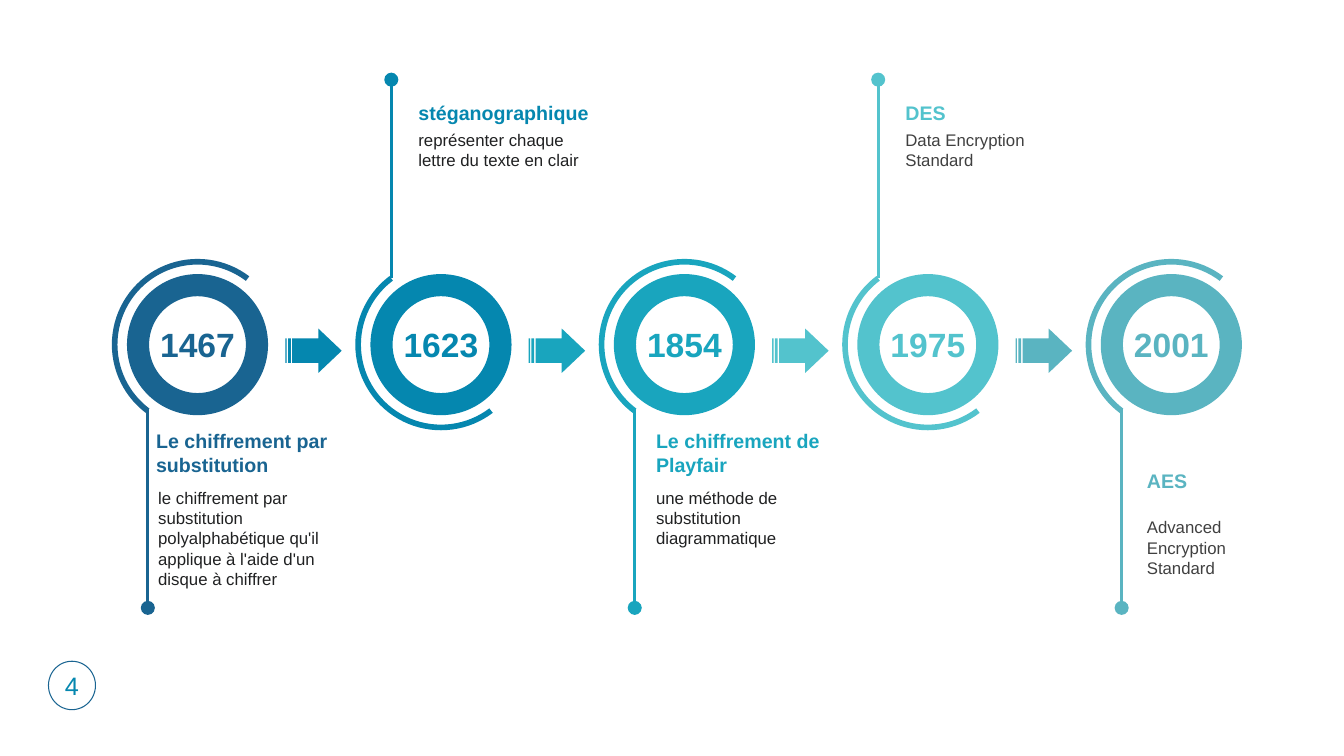
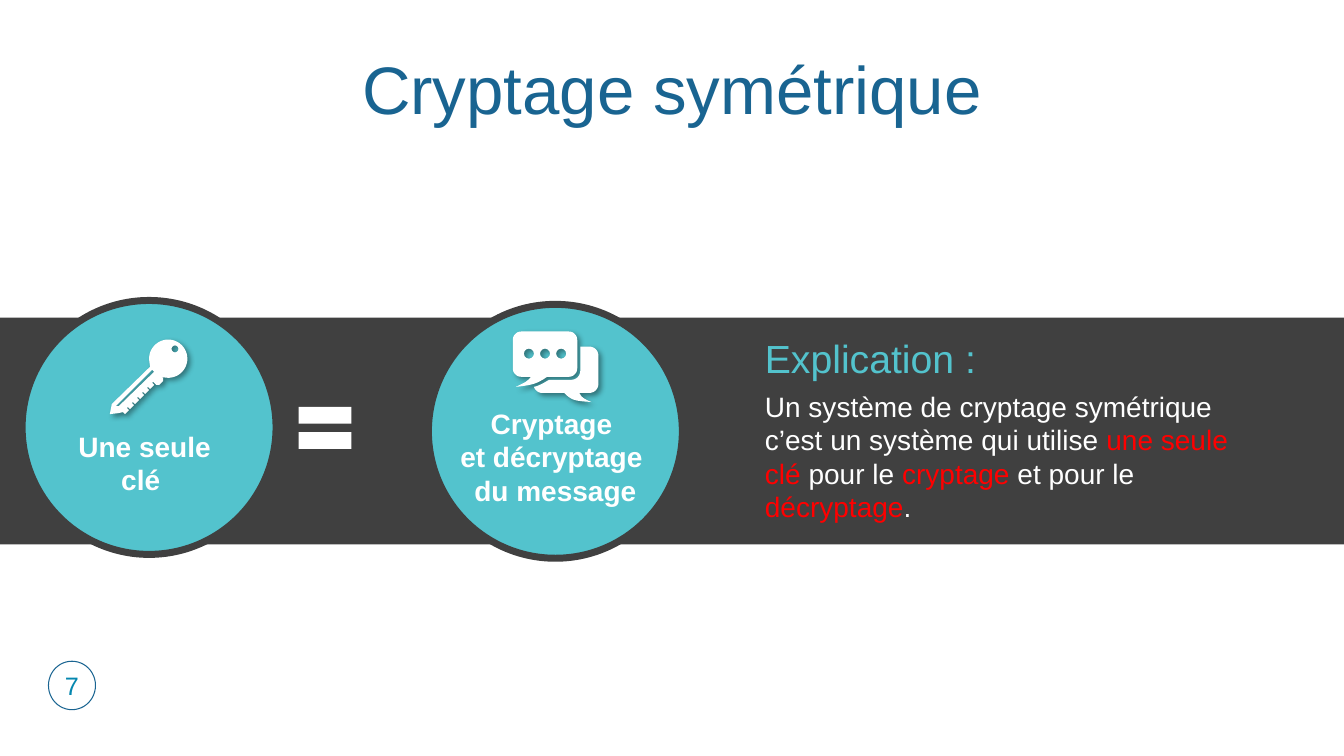
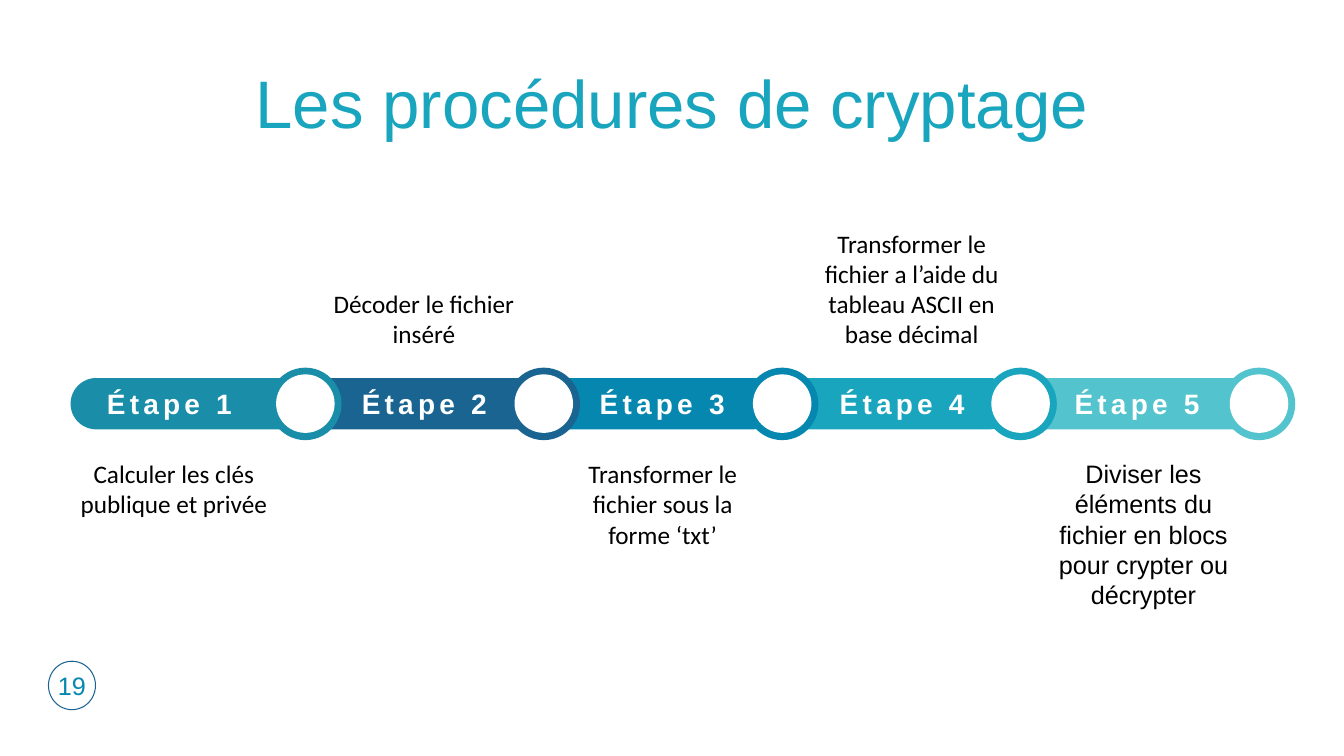
"""Build three slides on the history and steps of encryption."""
from dataclasses import dataclass
from math import cos, radians, sin

from lxml.etree import SubElement
from pptx import Presentation
from pptx.dml.color import RGBColor
from pptx.enum.shapes import MSO_CONNECTOR, MSO_SHAPE
from pptx.enum.text import MSO_ANCHOR, PP_ALIGN
from pptx.oxml.ns import qn
from pptx.util import Pt


@dataclass(frozen=True)
class Theme:
    navy: str = "196491"
    blue: str = "0587AF"
    teal: str = "19A5BE"
    aqua: str = "53C3CD"
    steel: str = "5AB4C1"
    sea: str = "1A8EA9"
    dark: str = "404040"
    ink: str = "202122"
    black: str = "000000"
    white: str = "FFFFFF"
    red: str = "FF0000"
    sans: str = "Arial"
    alt: str = "Calibri"
    title: int = 48
    head: int = 28
    year: int = 24
    large: int = 20
    body: int = 18
    name: int = 14
    small: int = 12


T = Theme()
WIDE, HIGH = 960, 540

EVENTS = [
    ("1467", T.navy, "Le chiffrement par substitution",
     ["le chiffrement par substitution polyalphabétique qu'il applique à l'aide d'un disque à chiffrer"],
     T.ink, (13.7, 303.1), (15.2, 344.9)),
    ("1623", T.blue, "stéganographique", ["représenter chaque lettre du texte en clair"],
     T.ink, (27.2, 68.4), (27.2, 89.3)),
    ("1854", T.teal, "Le chiffrement de Playfair",
     ["une méthode de substitution diagrammatique"],
     T.ink, (23, 303.1), (23, 344.9)),
    ("1975", T.aqua, "DES", ["Data Encryption Standard"],
     T.dark, (27.2, 68.4), (27.2, 89.3)),
    ("2001", T.steel, "AES", ["Advanced", "Encryption", "Standard"],
     T.dark, (25.8, 331.2), (25.8, 365.8)),
]

DISCS = [
    (15.8, 214.6, (48.2, 303.1, 110.2), ["Une seule clé "]),
    (306, 217.4, (306, 286.6, 181.4), ["Cryptage ", "et décryptage ", "du message"]),
]

NOTE = [
    ("Un système de cryptage symétrique c’est un système qui utilise ", T.white),
    ("une seule clé ", T.red),
    ("pour le", T.white),
    (" cryptage", T.red),
    (" et pour le ", T.white),
    ("décryptage", T.red),
    (".", T.white),
]

STEPS = [
    ("Étape 1", T.sea, 121, 50.4, T.alt, "Calculer les clés publique et privée"),
    ("Étape 2", T.navy, 303.1, 229, T.alt, "Décoder le fichier inséré"),
    ("Étape 3", T.blue, 473, 399.6, T.alt, "Transformer le fichier sous la forme ‘txt’"),
    ("Étape 4", T.teal, 644.4, 577.4, T.alt,
     "Transformer le fichier a l’aide du tableau ASCII en base décimal"),
    ("Étape 5", T.aqua, 812.2, 743, T.sans,
     "Diviser les éléments du fichier en blocs pour crypter ou décrypter"),
]


def paint(color):
    return RGBColor.from_string(color)


def write(para, text, size, color, bold=False, font=T.sans, space=0):
    run = para.add_run()
    run.text = text
    run.font.name = font
    run.font.size = Pt(size)
    run.font.bold = bold
    run.font.color.rgb = paint(color)
    if space:
        run._r.get_or_add_rPr().set("spc", str(space * 100))


def label(slide, box, lines, size, color, align=PP_ALIGN.LEFT,
          anchor=MSO_ANCHOR.TOP, **style):
    frame = slide.shapes.add_textbox(*map(Pt, box)).text_frame
    frame.word_wrap = True
    frame.vertical_anchor = anchor
    for i, line in enumerate(lines):
        para = frame.add_paragraph() if i else frame.paragraphs[0]
        para.alignment = align
        runs = [(line, color)] if isinstance(line, str) else line
        for text, tint in runs:
            write(para, text, size, tint, **style)


def finish(shape, fill=None, edge=None, width=1):
    shape.shadow.inherit = False
    if fill:
        shape.fill.solid()
        shape.fill.fore_color.rgb = paint(fill)
    else:
        shape.fill.background()
    if edge:
        shape.line.color.rgb = paint(edge)
        shape.line.width = Pt(width)
    else:
        shape.line.fill.background()
    return shape


def place(slide, kind, box, fill=None, edge=None, width=1, adjust=()):
    shape = slide.shapes.add_shape(kind, *map(Pt, box))
    for i, value in enumerate(adjust):
        shape.adjustments[i] = value
    return finish(shape, fill, edge, width)


def stem(slide, x, start, end, color):
    line = slide.shapes.add_connector(
        MSO_CONNECTOR.STRAIGHT, Pt(x), Pt(start), Pt(x), Pt(end))
    line.line.color.rgb = paint(color)
    line.line.width = Pt(2)
    props = line._element.spPr
    SubElement(props.find(qn("a:ln")), qn("a:tailEnd"), type="oval", w="lg", len="lg")
    SubElement(props, qn("a:effectLst"))


def arc(x, y, r, start=0, end=360, parts=12):
    turns = [radians(start + (end - start) * i / parts) for i in range(parts + 1)]
    return [(x + r * cos(a), y + r * sin(a)) for a in turns]


def bend(a, b, c, d, parts=8):
    dots = []
    for i in range(parts + 1):
        t = i / parts
        u = 1 - t
        dots.append(tuple(u**3 * p + 3 * u * u * t * q + 3 * u * t * t * r + t**3 * s
                          for p, q, r, s in zip(a, b, c, d)))
    return dots


def key():
    teeth = [(151 - 5 * i + x, 380 + 5 * i + y) for i in range(6)
             for x, y in ((0, 0), (2, 2), (-2, 6), (-4, 4))]
    outer = (arc(167, 356, 19, 172, 472, 36)
             + [(162, 375), (162, 378), (158, 382), (155, 382), (152, 379)]
             + teeth + [(118, 410), (109, 411), (111, 401), (149, 364)])
    groove = [(151, 367), (116, 402), (115, 403), (118, 403), (153, 369)]
    return [outer, groove, arc(173.7, 346.3, 3.5)]


def chat():
    front = (arc(517.5, 337.5, 8.5, 180, 270) + arc(564.5, 337.5, 8.5, 270, 360)
             + arc(564.5, 365.5, 8.5, 0, 90)
             + bend((543, 374), (533, 381), (529, 382), (512, 384))
             + bend((512, 384), (522, 379), (523, 379), (527, 374))
             + arc(517.5, 365.5, 8.5, 90, 180))
    back = ([(576, 344)] + arc(585, 353, 9, 270, 360) + arc(585, 381, 9, 0, 90)
            + bend((575, 390), (577, 393), (577, 395), (587, 399))
            + bend((587, 399), (570, 398), (567, 397), (560, 390))
            + bend((538, 390), (534, 390), (531, 387), (530, 384))
            + bend((530, 384), (535, 383), (540, 380), (545, 377))
            + bend((567, 377), (572, 377), (576, 373), (576, 368)))
    return [front, back] + [arc(x, 351, 5) for x in (525, 541, 557)]


def icon(slide, loops):
    pen = None
    for loop in loops:
        dots = [(x * 10, y * 10) for x, y in loop]
        if pen is None:
            pen = slide.shapes.build_freeform(*dots[0], scale=Pt(0.072))
        else:
            pen.move_to(*dots[0])
        pen.add_line_segments(dots[1:], close=True)
    shape = finish(pen.convert_to_shape(), T.white)
    glow = shape._element.spPr.find(qn("a:effectLst"))
    cast = SubElement(glow, qn("a:outerShdw"), blurRad=str(Pt(4)), dist=str(Pt(3)),
                      dir="2700000", algn="tl", rotWithShape="0")
    tint = SubElement(cast, qn("a:srgbClr"), val=T.black)
    SubElement(tint, qn("a:alpha"), val="40000")


def start(deck, page, title=None, color=None, top=0):
    slide = deck.slides.add_slide(deck.slide_layouts[5 if title else 6])
    if title:
        head = slide.shapes.title
        head.left, head.top, head.width, head.height = map(Pt, (0, top, WIDE, 60.5))
        head.text_frame.vertical_anchor = MSO_ANCHOR.MIDDLE
        para = head.text_frame.paragraphs[0]
        para.alignment = PP_ALIGN.CENTER
        para.line_spacing = 0.9
        para.space_before = Pt(10)
        write(para, title, T.title, color)
    badge = place(slide, MSO_SHAPE.OVAL, (34.6, 472.3, 33.6, 34.6), None, T.navy, 0.75)
    frame = badge.text_frame
    frame.word_wrap = False
    frame.margin_left = frame.margin_right = frame.margin_top = frame.margin_bottom = 0
    frame.vertical_anchor = MSO_ANCHOR.MIDDLE
    frame.paragraphs[0].alignment = PP_ALIGN.CENTER
    write(frame.paragraphs[0], page, T.body, T.blue)
    return slide


def history(deck):
    slide = start(deck, "4")
    for i, (year, color, name, lines, ink, head, text) in enumerate(EVENTS):
        x = 90.7 + 173.9 * i
        above = i % 2
        sweep = (31.68, 139.87) if above else (76.13, 184.32)
        place(slide, MSO_SHAPE.DONUT, (x, 195.8, 100.8, 100.8), color, adjust=[0.157])
        place(slide, MSO_SHAPE.BLOCK_ARC, (x - 10.8, 185, 122.4, 122.4), color,
              adjust=[*sweep, 0.033])
        label(slide, (x + 3.2, 228.2, 94.4, 36), [year], T.year, color,
              PP_ALIGN.CENTER, bold=True)
        ends = (198.7, 56.9) if above else (292.3, 434.2)
        stem(slide, x + 14.9, *ends, color)
        label(slide, (x + head[0], head[1], 138.2, 41), [name], T.name, color, bold=True)
        label(slide, (x + text[0], text[1], 138.2, 51), lines, T.small, ink)
        if i:
            place(slide, MSO_SHAPE.STRIPED_RIGHT_ARROW, (x - 60.8, 234.7, 40.3, 31.7),
                  color, adjust=[0.551, 0.527])


def single(deck):
    slide = start(deck, "7", "Cryptage symétrique", T.navy, 36)
    place(slide, MSO_SHAPE.RECTANGLE, (0, 226.8, WIDE, 162), T.dark)
    for x, y, (left, top, width), lines in DISCS:
        place(slide, MSO_SHAPE.OVAL, (x, y, 181.4, 181.4), T.aqua, T.dark, 5)
        label(slide, (left, top, width, 80), lines, T.large, T.white,
              PP_ALIGN.CENTER, bold=True)
    place(slide, MSO_SHAPE.MATH_EQUAL, (206.6, 280.1, 51.1, 51.1), T.white)
    label(slide, (539.3, 235.4, 360, 41), ["Explication :"], T.head, T.aqua)
    label(slide, (539.3, 274.3, 360, 104.4), [NOTE], T.large, T.white)
    icon(slide, key())
    icon(slide, chat())


def process(deck):
    slide = start(deck, "19", "Les procédures de cryptage", T.teal, 46.1)
    for i, (name, color, *rest) in enumerate(STEPS):
        width = 179.3 if i == len(STEPS) - 1 else 167
        place(slide, MSO_SHAPE.ROUNDED_RECTANGLE, (50.4 + 169.2 * i, 270, width, 36.7),
              color, adjust=[0.5])
    for i, (name, color, mid, left, font, text) in enumerate(STEPS):
        x = 192.2 + 170.3 * i
        place(slide, MSO_SHAPE.OVAL, (x, 262.6, 51.8, 51.8), color)
        place(slide, MSO_SHAPE.OVAL, (x + 5, 267.4, 41.8, 41.8), T.white)
        label(slide, (mid - 55, 272.4, 110, 31.7), [name], T.large, T.white,
              PP_ALIGN.CENTER, bold=True, space=3)
        top, anchor = (152.7, MSO_ANCHOR.BOTTOM) if i % 2 else (324, MSO_ANCHOR.TOP)
        label(slide, (left, top, 147.6, 100), [text], T.body, T.black,
              PP_ALIGN.CENTER, anchor, font=font)


def main():
    deck = Presentation()
    deck.slide_width, deck.slide_height = Pt(WIDE), Pt(HIGH)
    history(deck)
    single(deck)
    process(deck)
    deck.save("out.pptx")


if __name__ == "__main__":
    main()
